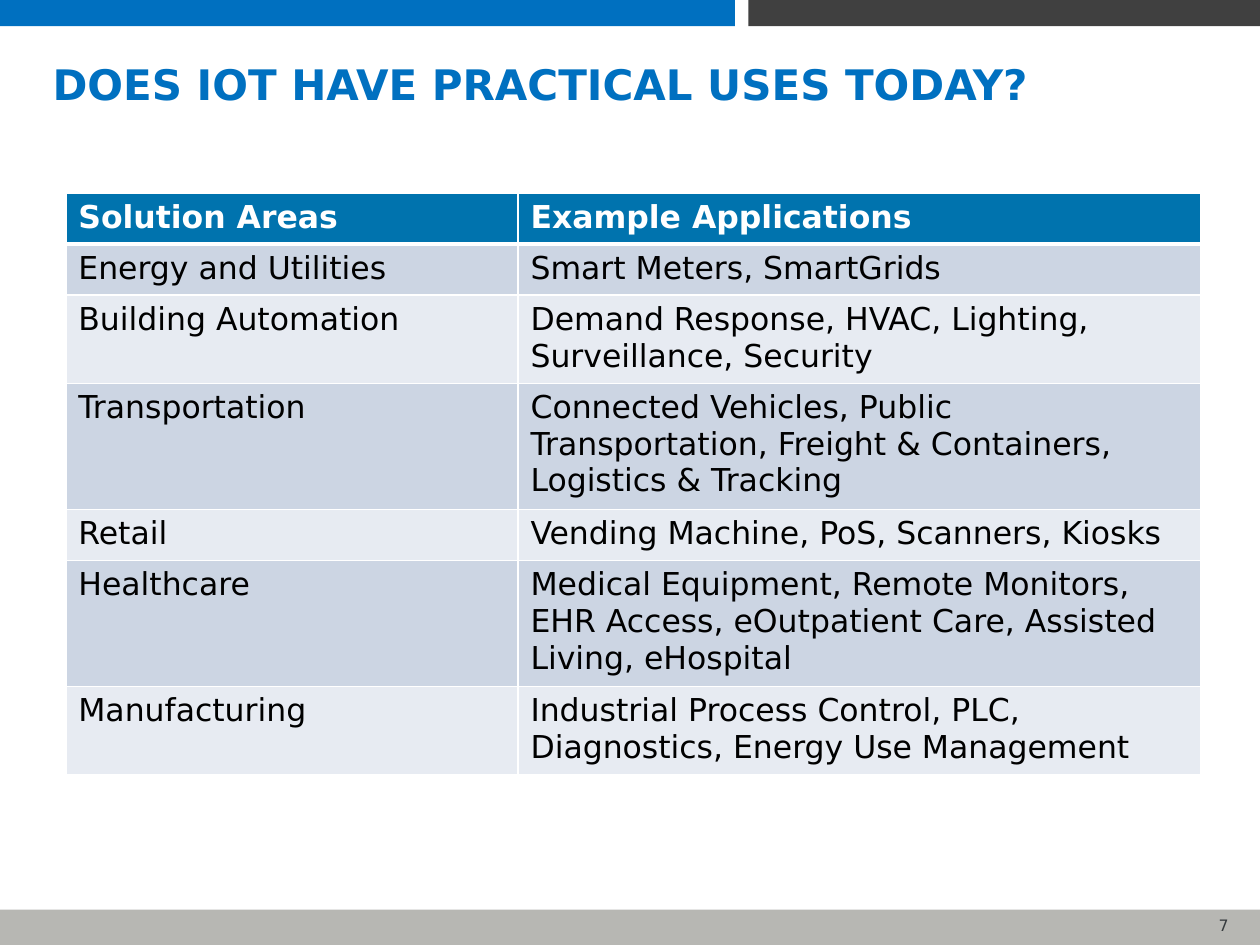
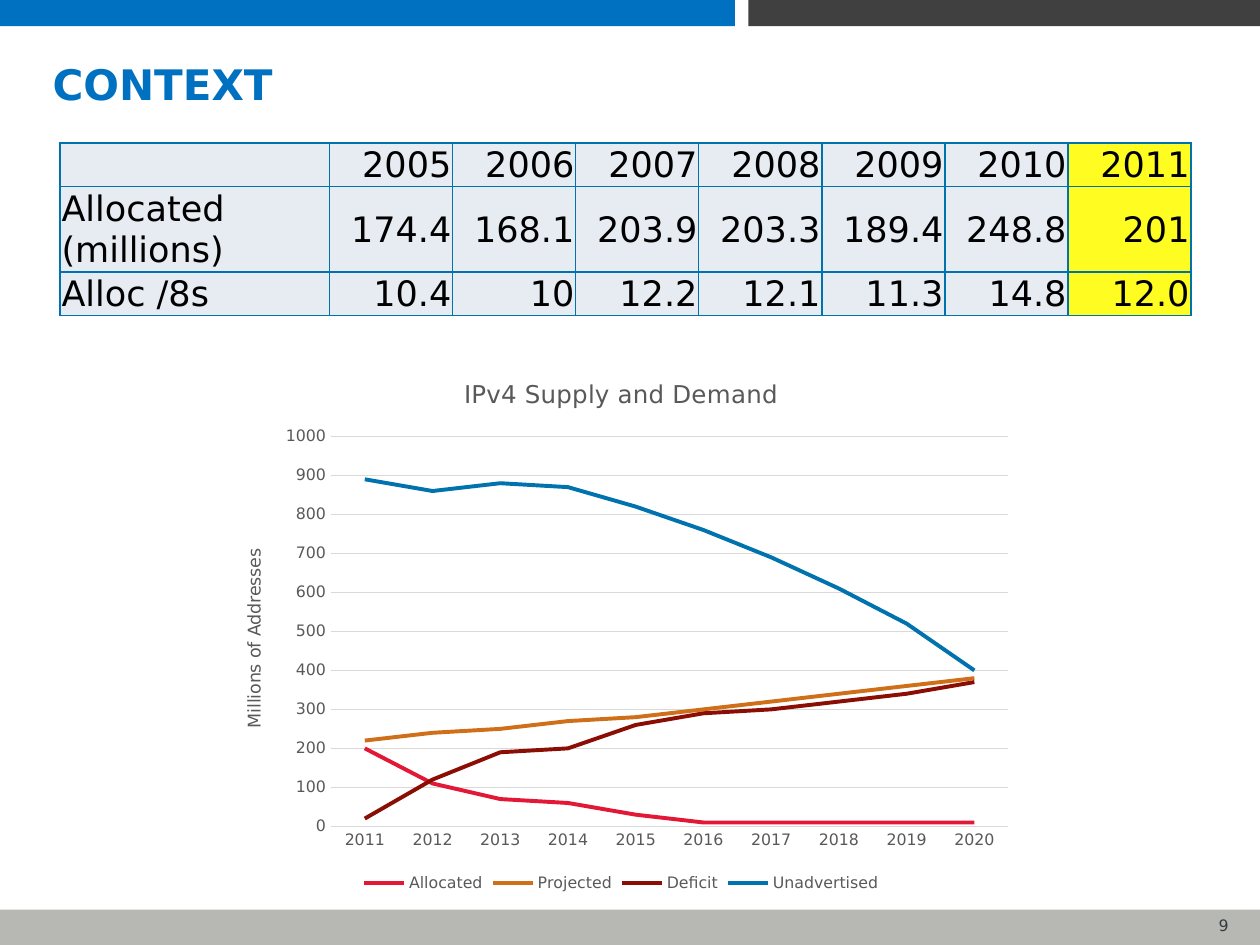
from lxml import etree
from pptx import Presentation
from pptx.chart.data import CategoryChartData
from pptx.dml.color import RGBColor
from pptx.enum import chart as charts, shapes, text
from pptx.oxml import parse_xml
from pptx.oxml.ns import nsdecls, qn
from pptx.util import Pt

FONT = "DejaVu Sans"
BLUE = RGBColor(0x00, 0x70, 0xC0)
TABLE_BLUE = RGBColor(0x00, 0x73, 0xAE)
CHARCOAL = RGBColor(0x40, 0x40, 0x40)
FOOTER_GREY = RGBColor(0xB7, 0xB7, 0xB3)
NUMBER_GREY = RGBColor(0x36, 0x3B, 0x3E)
CHART_GREY = RGBColor(0x59, 0x59, 0x59)
GRID_GREY = RGBColor(0xD9, 0xD9, 0xD9)
DARK_ROW = RGBColor(0xCC, 0xD5, 0xE3)
LIGHT_ROW = RGBColor(0xE7, 0xEB, 0xF2)
YELLOW = RGBColor(0xFF, 0xFC, 0x22)
RED = RGBColor(0xE3, 0x18, 0x37)
ORANGE = RGBColor(0xD0, 0x6F, 0x1A)
MAROON = RGBColor(0x8B, 0x0E, 0x04)
BLACK = RGBColor(0, 0, 0)
WHITE = RGBColor(0xFF, 0xFF, 0xFF)

BANDS = [  # left, top, width, height, colour
    (0, 519.8, 720, 20.2, FOOTER_GREY),
    (0, 0, 420, 15, BLUE),
    (427.6, 0, 292.4, 15, CHARCOAL),
]

SOLUTIONS = [
    ("Solution Areas", "Example Applications"),
    ("Energy and Utilities", "Smart Meters, SmartGrids"),
    ("Building Automation", "Demand Response, HVAC, Lighting, Surveillance, Security"),
    ("Transportation", "Connected Vehicles, Public Transportation, "
                       "Freight & Containers, Logistics & Tracking"),
    ("Retail", "Vending Machine, PoS, Scanners, Kiosks"),
    ("Healthcare", "Medical Equipment, Remote Monitors, EHR Access, "
                   "eOutpatient Care, Assisted Living, eHospital"),
    ("Manufacturing", "Industrial Process Control, PLC, Diagnostics, "
                      "Energy Use Management"),
]
SOLUTION_LINES = [1, 1, 2, 3, 1, 3, 2]

ALLOCATIONS = [
    ("", "2005", "2006", "2007", "2008", "2009", "2010", "2011"),
    ("Allocated (millions)", "174.4", "168.1", "203.9", "203.3", "189.4", "248.8", "201"),
    ("Alloc /8s", "10.4", "10", "12.2", "12.1", "11.3", "14.8", "12.0"),
]

YEARS = [str(year) for year in range(2011, 2021)]
SUPPLY = [
    ("Allocated", RED, (200, 110, 70, 60, 30, 10, 10, 10, 10, 10)),
    ("Projected", ORANGE, (220, 240, 250, 270, 280, 300, 320, 340, 360, 380)),
    ("Deficit", MAROON, (20, 120, 190, 200, 260, 290, 300, 320, 340, 370)),
    ("Unadvertised", TABLE_BLUE, (890, 860, 880, 870, 820, 760, 690, 610, 520, 400)),
]


def set_font(font, size, color, bold=False):
    font.name, font.size, font.bold = FONT, Pt(size), bold
    font.color.rgb = color


def write(frame, words, size, color, bold=False, align=text.PP_ALIGN.LEFT):
    frame.text = words
    for paragraph in frame.paragraphs:
        paragraph.alignment = align
        for run in paragraph.runs:
            set_font(run.font, size, color, bold)


def add_words(slide, box, words, *style):
    frame = slide.shapes.add_textbox(*map(Pt, box)).text_frame
    frame.word_wrap = True
    frame.vertical_anchor = text.MSO_ANCHOR.MIDDLE
    write(frame, words, *style)


def add_page(deck, title, number):
    """Add a slide with the shared bands, title and page number."""
    slide = deck.slides.add_slide(deck.slide_layouts[6])
    for *box, color in BANDS:
        band = slide.shapes.add_shape(shapes.MSO_SHAPE.RECTANGLE, *map(Pt, box))
        band.shadow.inherit = False
        band.fill.solid()
        band.fill.fore_color.rgb = color
        band.line.fill.background()
    add_words(slide, (658, 519.8, 51.2, 18), number, 9, NUMBER_GREY, False,
              text.PP_ALIGN.RIGHT)
    add_words(slide, (23, 26.6, 670, 42), title, 24, BLUE, True)
    return slide


def add_grid(slide, left, top, widths, heights):
    table = slide.shapes.add_table(len(heights), len(widths), Pt(left), Pt(top),
                                   Pt(sum(widths)), Pt(sum(heights))).table
    table.horz_banding = False
    for column, width in zip(table.columns, widths):
        column.width = Pt(width)
    for row, height in zip(table.rows, heights):
        row.height = Pt(height)
    return table


def paint_cell(cell, fill, border, top=1, bottom=1):
    """Set borders before the fill, as the cell schema orders them."""
    properties = cell._tc.get_or_add_tcPr()
    for side, width in zip("LRTB", (1, 1, top, bottom)):
        properties.append(parse_xml(
            f'<a:ln{side} {nsdecls("a")} w="{Pt(width)}"><a:solidFill>'
            f'<a:srgbClr val="{border}"/></a:solidFill></a:ln{side}>'))
    cell.fill.solid()
    cell.fill.fore_color.rgb = fill


def add_solutions(slide):
    heights = [max(29.2, 7.2 + 20.95 * lines) for lines in SOLUTION_LINES]
    table = add_grid(slide, 37.6, 110.2, (258.4, 390.2), heights)
    for r, row in enumerate(SOLUTIONS):
        header = r == 0
        fill = TABLE_BLUE if header else DARK_ROW if r % 2 else LIGHT_ROW
        for c, words in enumerate(row):
            cell = table.cell(r, c)
            paint_cell(cell, fill, WHITE, 3 if r == 1 else 1, 3 if header else 1)
            write(cell.text_frame, words, 18, WHITE if header else BLACK, header)


def add_allocations(slide):
    years = len(ALLOCATIONS[0]) - 1
    table = add_grid(slide, 34.4, 81.6, [154] + [70.3] * years, (25.1, 47.5, 24))
    for r, row in enumerate(ALLOCATIONS):
        for c, words in enumerate(row):
            cell = table.cell(r, c)
            paint_cell(cell, YELLOW if c == years else LIGHT_ROW, TABLE_BLUE)
            cell.margin_left = cell.margin_right = cell.margin_top = Pt(0.75)
            cell.margin_bottom = 0
            cell.vertical_anchor = text.MSO_ANCHOR.MIDDLE
            write(cell.text_frame, words, 20, BLACK, False,
                  text.PP_ALIGN.RIGHT if c else text.PP_ALIGN.LEFT)


def place_plot(chart, **fractions):
    """Fix the inner plot area as fractions of the chart."""
    area = chart._chartSpace.chart.plotArea
    for old in area.findall(qn("c:layout")):
        area.remove(old)
    layout = etree.Element(qn("c:layout"))
    manual = etree.SubElement(layout, qn("c:manualLayout"))
    settings = {"layoutTarget": "inner", "xMode": "edge", "yMode": "edge", **fractions}
    for tag, value in settings.items():
        etree.SubElement(manual, qn(f"c:{tag}")).set("val", str(value))
    area.insert(0, layout)


def add_supply_chart(slide):
    data = CategoryChartData()
    data.categories = YEARS
    for name, _, values in SUPPLY:
        data.add_series(name, values)
    chart = slide.shapes.add_chart(charts.XL_CHART_TYPE.LINE, Pt(124.6), Pt(203),
                                   Pt(460.8), Pt(309.6), data).chart
    set_font(chart.font, 10, BLACK)
    chart.has_title = True
    write(chart.chart_title.text_frame, "IPv4 Supply and Demand", 14, CHART_GREY,
          False, text.PP_ALIGN.CENTER)
    chart.chart_title.include_in_layout = False
    chart.has_legend = True
    chart.legend.position = charts.XL_LEGEND_POSITION.BOTTOM
    chart.legend.include_in_layout = False
    set_font(chart.legend.font, 9, CHART_GREY)

    chart.plots[0].vary_by_categories = False
    for series, (_, color, _) in zip(chart.plots[0].series, SUPPLY):
        series.smooth = False
        series.marker.style = charts.XL_MARKER_STYLE.NONE
        series.format.line.color.rgb = color
        series.format.line.width = Pt(2.25)

    years, addresses = chart.category_axis, chart.value_axis
    for axis in (years, addresses):
        axis.major_tick_mark = axis.minor_tick_mark = charts.XL_TICK_MARK.NONE
        set_font(axis.tick_labels.font, 9, CHART_GREY)
    addresses.minimum_scale, addresses.maximum_scale = 0, 1000
    addresses.major_unit = 100
    addresses.format.line.fill.background()
    for line in (years.format.line, addresses.major_gridlines.format.line):
        line.color.rgb = GRID_GREY
        line.width = Pt(0.75)
    write(addresses.axis_title.text_frame, "Millions of Addresses", 10, CHART_GREY,
          False, text.PP_ALIGN.CENTER)
    place_plot(chart, x=0.14, y=0.15, w=0.84, h=0.72)


def main():
    deck = Presentation()
    deck.slide_width, deck.slide_height = Pt(720), Pt(540)
    add_solutions(add_page(deck, "DOES IOT HAVE PRACTICAL USES TODAY?", "7"))
    context = add_page(deck, "CONTEXT", "9")
    add_allocations(context)
    add_supply_chart(context)
    deck.save("out.pptx")


if __name__ == "__main__":
    main()
